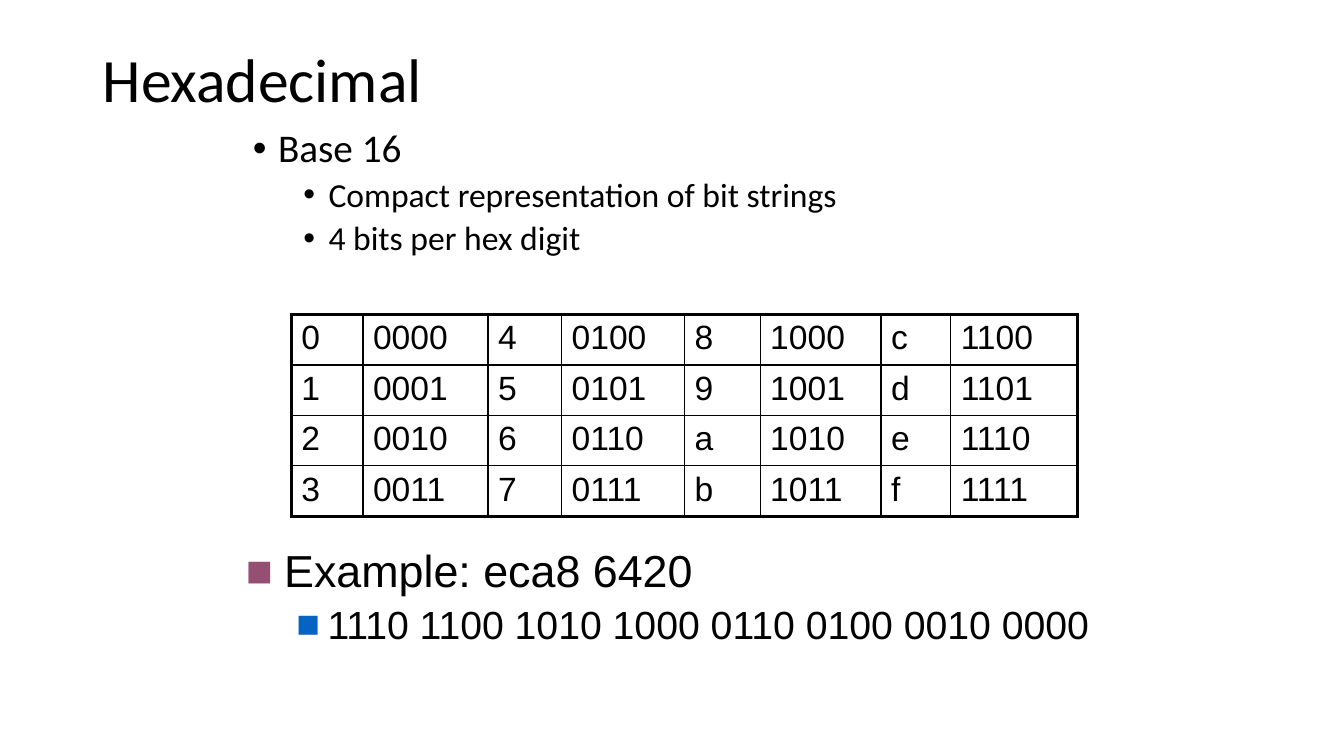
from collections import namedtuple

from lxml.etree import SubElement
from pptx import Presentation
from pptx.dml.color import RGBColor
from pptx.enum.text import MSO_ANCHOR
from pptx.oxml.ns import qn
from pptx.util import Inches, Pt

BLACK = RGBColor(0x00, 0x00, 0x00)
PLUM = RGBColor(0x95, 0x4F, 0x72)
BLUE = RGBColor(0x05, 0x63, 0xC1)

UNIT = Inches(0.1)  # one column or row of the layout grid
THIN, MEDIUM, THICK = Pt(1), Pt(1.5), Pt(2.25)

HEX_DIGITS = "0123456789abcdef"
TABLE_ROWS = 4
COLUMN_WIDTHS = [7.1, 12.4, 7.3, 12.2, 7.5, 12, 6.9, 12.6]
ROW_HEIGHT = 4.1

Box = namedtuple("Box", "left top width height")
Bullet = namedtuple("Bullet", "symbol color margin hang")
Line = namedtuple("Line", "text size level space_before bullet", defaults=[0, 0, None])


def grid_box(*lengths):
    return Box(*(round(length * UNIT) for length in lengths))


def set_values(target, values):
    for name, value in values.items():
        setattr(target, name, value)


def write_text(para, text, font_name, size):
    span = para.add_run()
    span.text = text
    set_values(span.font, {"name": font_name, "size": Pt(size)})
    span.font.color.rgb = BLACK


def add_bullet(para, bullet):
    properties = para._p.get_or_add_pPr()
    properties.set("marL", str(Inches(bullet.margin)))
    properties.set("indent", str(-Inches(bullet.hang)))
    color = SubElement(properties, qn("a:buClr"))
    SubElement(color, qn("a:srgbClr"), val=str(bullet.color))
    SubElement(properties, qn("a:buFont"), typeface="Arial")
    SubElement(properties, qn("a:buChar"), char=bullet.symbol)


def add_text_region(page, box, font_name, lines, anchor=MSO_ANCHOR.TOP):
    frame = page.shapes.add_textbox(*box).text_frame
    set_values(frame, {"word_wrap": True, "vertical_anchor": anchor})
    for index, line in enumerate(lines):
        para = frame.add_paragraph() if index else frame.paragraphs[0]
        set_values(para, {"level": line.level, "line_spacing": 0.9,
                          "space_before": Pt(line.space_before)})
        if line.bullet:
            add_bullet(para, line.bullet)
        write_text(para, line.text, font_name, line.size)


def add_borders(cell, widths):
    """Draw the left, right, top and bottom borders in the given widths."""
    properties = cell._tc.get_or_add_tcPr()
    for side, width in zip("LRTB", widths):
        border = SubElement(properties, qn(f"a:ln{side}"), w=str(width))
        fill = SubElement(border, qn("a:solidFill"))
        SubElement(fill, qn("a:srgbClr"), val=str(BLACK))


def add_digit_table(page, box):
    """Pair each hex digit with its bits, running down one column pair after another."""
    column_count = len(COLUMN_WIDTHS)
    table = page.shapes.add_table(TABLE_ROWS, column_count, *box).table
    set_values(table, {"first_row": False, "horz_banding": False})
    for column, width in zip(table.columns, COLUMN_WIDTHS):
        column.width = round(width * UNIT)

    # Thick frame, medium rules between pairs, thin rules inside them
    vertical = [THIN if edge % 2 else MEDIUM for edge in range(column_count + 1)]
    vertical[0] = vertical[-1] = THICK
    horizontal = [THICK] + [THIN] * (TABLE_ROWS - 1) + [THICK]

    for value, digit in enumerate(HEX_DIGITS):
        pair, row = divmod(value, TABLE_ROWS)
        for offset, text in enumerate((digit, f"{value:04b}")):
            column = 2 * pair + offset
            cell = table.cell(row, column)
            write_text(cell.text_frame.paragraphs[0], text, "Arial", 24)
            add_borders(cell, vertical[column:column + 2] + horizontal[row:row + 2])
            cell.fill.background()


def build_hexadecimal_page(deck):
    page = deck.slides.add_slide(deck.slide_layouts[6])
    add_text_region(page, grid_box(9.2, 4, 115, 8.3), "Calibri",
                    [Line("Hexadecimal", 44)], MSO_ANCHOR.MIDDLE)

    dot = Bullet("•", BLACK, 0.25, 0.25)
    inner_dot = dot._replace(margin=0.75)
    add_text_region(page, grid_box(24.1, 12.3, 90.5, 17.3), "Calibri", [
        Line("Base 16", 28, bullet=dot),
        Line("Compact representation of bit strings", 24, 1, 5, inner_dot),
        Line("4 bits per hex digit", 24, 1, 5, inner_dot),
    ])

    add_digit_table(page, grid_box(28.9, 31.2, sum(COLUMN_WIDTHS), TABLE_ROWS * ROW_HEIGHT))

    add_text_region(page, grid_box(23.4, 54, 90.5, 12.6), "Arial", [
        Line("Example: eca8 6420", 32, bullet=Bullet("■", PLUM, 0.38, 0.38)),
        Line("1110 1100 1010 1000 0110 0100 0010 0000", 28, 1, 5.6,
             Bullet("■", BLUE, 0.81, 0.31)),
    ])


def main():
    deck = Presentation()
    set_values(deck, {"slide_width": Inches(13.33), "slide_height": Inches(7.5)})
    build_hexadecimal_page(deck)
    deck.save("out.pptx")


if __name__ == "__main__":
    main()
